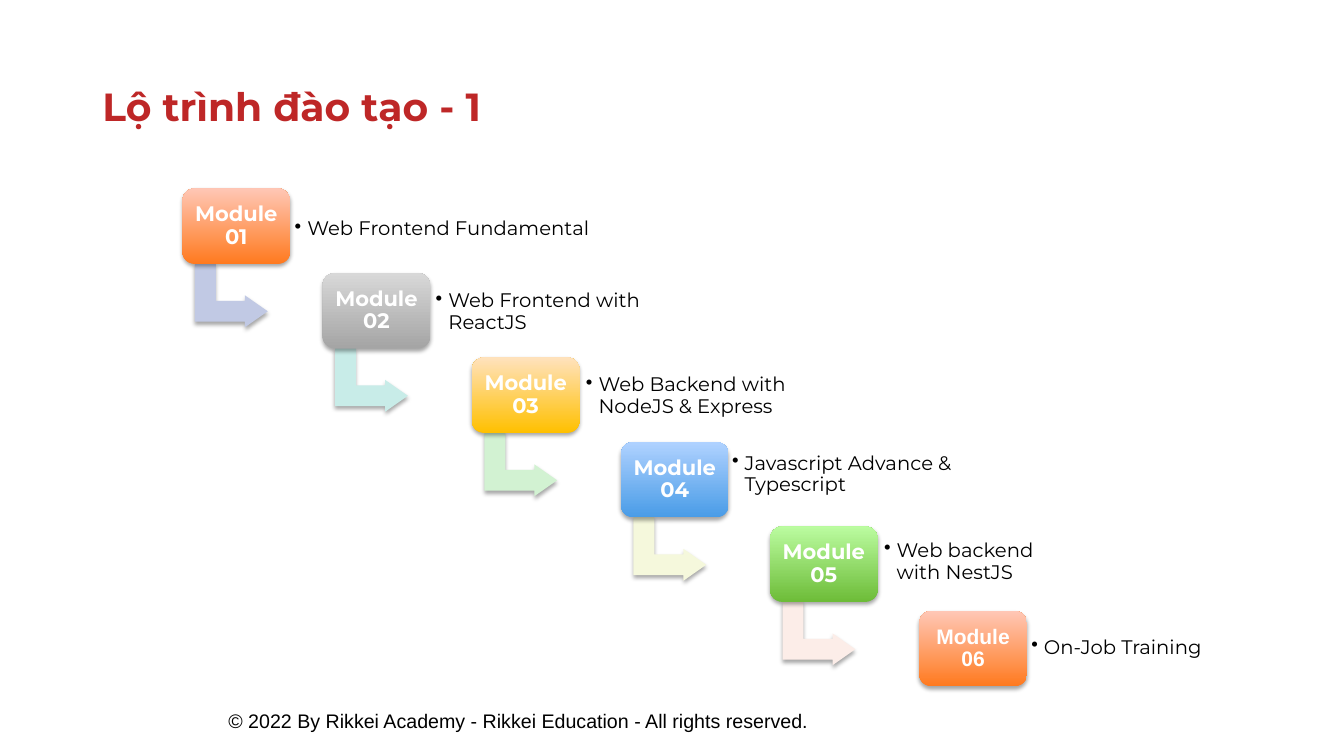
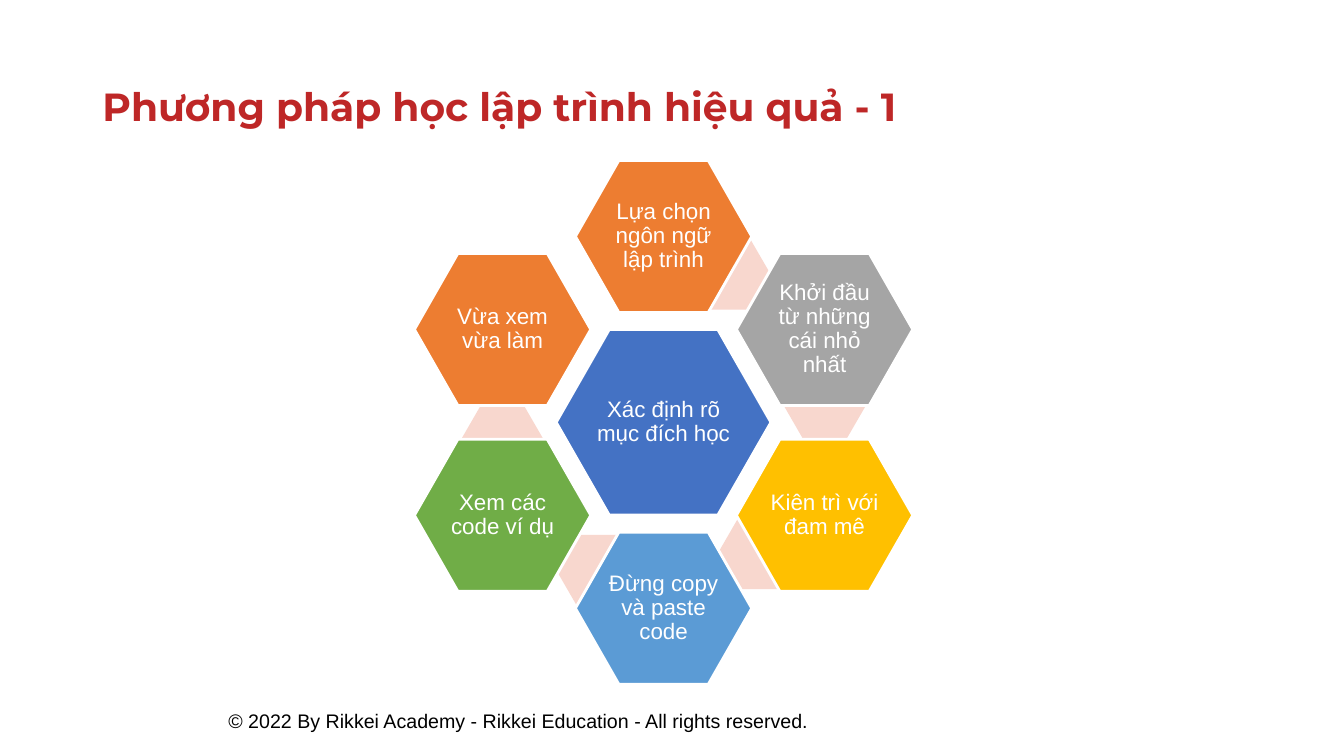
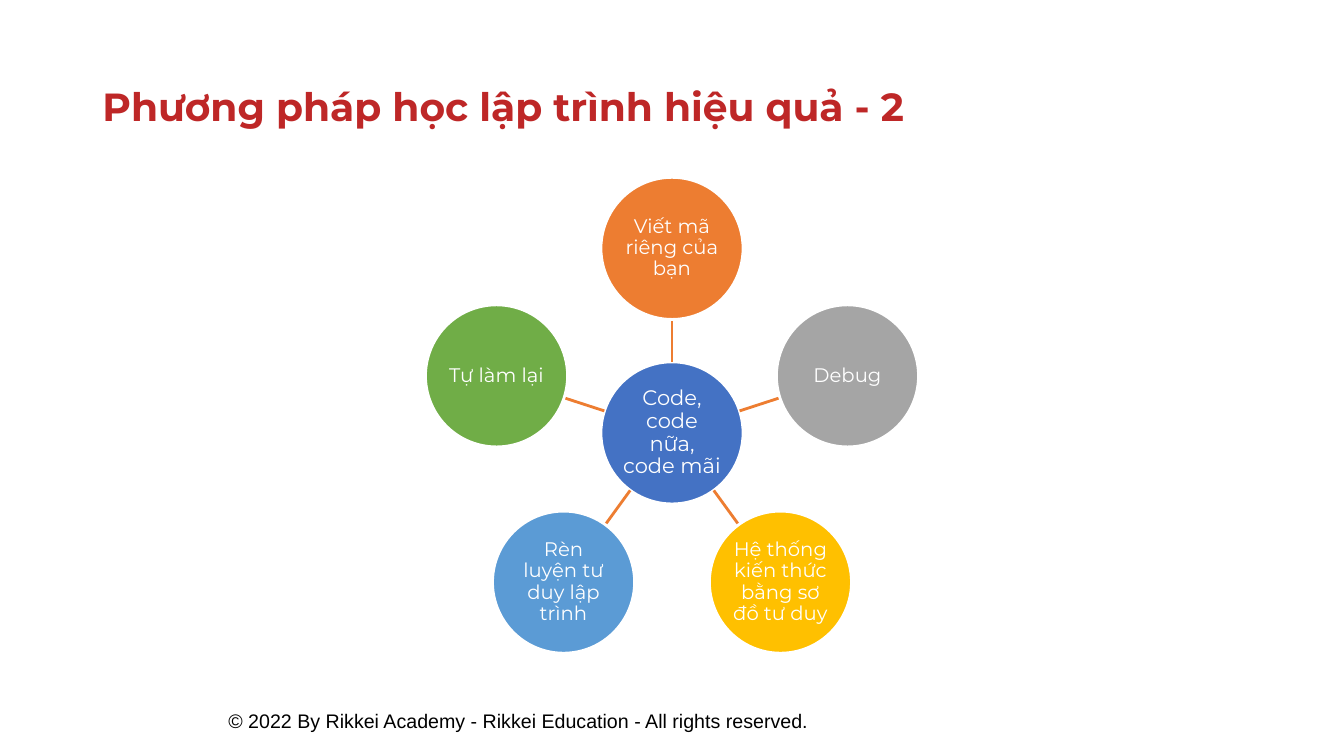
from math import cos, radians, sin

from lxml import etree
from pptx import Presentation
from pptx.dml.color import RGBColor
from pptx.enum.shapes import MSO_CONNECTOR, MSO_SHAPE
from pptx.enum.text import MSO_ANCHOR, MSO_AUTO_SIZE, PP_ALIGN
from pptx.oxml.ns import qn
from pptx.util import Pt

LEFT, CENTER = PP_ALIGN.LEFT, PP_ALIGN.CENTER
TOP, MIDDLE = MSO_ANCHOR.TOP, MSO_ANCHOR.MIDDLE
FIXED, GROW = MSO_AUTO_SIZE.NONE, MSO_AUTO_SIZE.SHAPE_TO_FIT_TEXT
ROUNDED, BENT_ARROW = MSO_SHAPE.ROUNDED_RECTANGLE, MSO_SHAPE.BENT_UP_ARROW
HEXAGON, OVAL = MSO_SHAPE.HEXAGON, MSO_SHAPE.OVAL
STRAIGHT = MSO_CONNECTOR.STRAIGHT

RED, BLACK, WHITE = "BE2727", "000000", "FFFFFF"
BLUE, ORANGE, GRAY, YELLOW = "4472C4", "ED7D31", "A5A5A5", "FFC000"
SKY, GREEN, BLUSH = "5B9BD5", "70AD47", "F8D7CE"
BRAND_FONT, PLAIN_FONT = "Montserrat", "Arial"
FOOTER = "© 2022 By Rikkei Academy - Rikkei Education - All rights reserved."


def rgb(value):
    return RGBColor.from_string(value)


def polar(center, radius, angle):
    """Point at an angle in degrees, clockwise from the top."""
    turn = radians(angle)
    return center[0] + radius * sin(turn), center[1] - radius * cos(turn)


class Slides:
    def __init__(self):
        self.deck = Presentation()
        self.deck.slide_width, self.deck.slide_height = Pt(960), Pt(540)
        self.layout = self.deck.slide_layouts[5]
        self.page = None

    def start(self, title):
        first = self.page is None
        self.page = self.deck.slides.add_slide(self.layout)
        if first:
            self.share_footer()
        box = self.page.shapes.title
        box.left, box.top, box.width, box.height = Pt(66), Pt(40.5), Pt(667), Pt(74)
        self.set_text(box, title, 28, RED, BRAND_FONT, bold=True, align=LEFT,
                      inset=(7.2, 3.6))

    def share_footer(self):
        """Place the footer on the layout, so every page shows it."""
        box = self.page.shapes.add_textbox(Pt(156), Pt(499), Pt(561), Pt(32))
        self.set_text(box, FOOTER, 14, BLACK, PLAIN_FONT, align=LEFT, inset=(7.2, 7.2),
                      anchor=TOP, spacing=1.0, fit=GROW)
        self.layout.shapes.element.append(box.element)

    def set_text(self, box, text, size, color, font, bold=False, align=CENTER,
                 inset=(4.5, 4.5), anchor=MIDDLE, spacing=0.9, fit=FIXED, bullet=False):
        frame = box.text_frame
        frame.text = text
        frame.word_wrap, frame.auto_size, frame.vertical_anchor = True, fit, anchor
        frame.margin_left = frame.margin_right = Pt(inset[0])
        frame.margin_top = frame.margin_bottom = Pt(inset[1])
        para = frame.paragraphs[0]
        if bullet:
            properties = para._p.get_or_add_pPr()
            properties.set("marL", str(Pt(9)))
            properties.set("indent", str(-Pt(9)))
            etree.SubElement(properties, qn("a:buChar"), char="•")
        para.alignment, para.line_spacing = align, spacing
        for span in para.runs:
            span.font.size, span.font.name, span.font.bold = Pt(size), font, bold
            span.font.color.rgb = rgb(color)

    def shape(self, kind, x, y, width, height, fill, outline=None, adjust=()):
        """Draw a preset shape; a pair of fills runs from bottom to top."""
        shape = self.page.shapes.add_shape(kind, Pt(x), Pt(y), Pt(width), Pt(height))
        shape.shadow.inherit = False
        if isinstance(fill, tuple):
            shape.fill.gradient()
            shape.fill.gradient_angle = 90
            for stop, color in zip(shape.fill.gradient_stops, fill):
                stop.color.rgb = rgb(color)
        else:
            shape.fill.solid()
            shape.fill.fore_color.rgb = rgb(fill)
        if outline:
            shape.line.color.rgb = rgb(outline)
            shape.line.width = Pt(2)
        else:
            shape.line.fill.background()
        for index, value in enumerate(adjust):
            shape.adjustments[index] = value
        return shape

    def centered(self, kind, center, width, height, fill, outline=None, adjust=()):
        x, y = center[0] - width / 2, center[1] - height / 2
        return self.shape(kind, x, y, width, height, fill, outline, adjust)

    def cast_shadow(self, shape):
        effects = shape.element.spPr.find(qn("a:effectLst"))
        shadow = etree.SubElement(effects, qn("a:outerShdw"), blurRad=str(Pt(3.1)),
                                  dist=str(Pt(1.8)), dir="5400000", rotWithShape="0")
        color = etree.SubElement(shadow, qn("a:srgbClr"), val=BLACK)
        etree.SubElement(color, qn("a:alpha"), val="35000")

    def bullet(self, text, x, y, width):
        box = self.page.shapes.add_textbox(Pt(x), Pt(y), Pt(width), Pt(43))
        self.set_text(box, text, 14, BLACK, BRAND_FONT, align=LEFT, bullet=True)

    def spoke(self, start, end):
        line = self.page.shapes.add_connector(STRAIGHT, *(Pt(v) for v in start + end))
        line.line.color.rgb = rgb(ORANGE)
        line.line.width = Pt(2)
        etree.SubElement(line.element.spPr, qn("a:effectLst"))

    def hexagon(self, center, width, height, text, fill):
        shape = self.centered(HEXAGON, center, width, height, fill, WHITE, (0.286,))
        self.set_text(shape, text, 16, WHITE, PLAIN_FONT, inset=(1.4, 1.4))

    def circle(self, center, text, fill, size=14):
        shape = self.centered(OVAL, center, 101.5, 101.5, fill, WHITE)
        self.set_text(shape, text, size, WHITE, BRAND_FONT, inset=(0.9, 0.9))


def roadmap(slides):
    slides.start("Lộ trình đào tạo - 1")
    flame = ("FF7A1F", "FFC7B6")
    # Tile left, tile fill, arrow fill, label, then label left, top and width
    modules = [
        (130.3, flame, "C1C9E4", "Web Frontend Fundamental", 206, 142.5, 222),
        (230.4, ("A5A5A5", "D8D8D8"), "C8ECE8", "Web Frontend with ReactJS", 306.7, 201.5, 195),
        (337, ("FFC000", "FFE2BD"), "D2F2D2", "Web Backend with NodeJS & Express", 414, 261.5, 179),
        (443.5, ("499CE7", "B0D2FF"), "F5F8DC", "Javascript Advance & Typescript", 518.4, 317.5, 179),
        (550, ("6DBC38", "BBFCA0"), "FCEDE8", "Web backend with NestJS", 627, 380, 142),
        (656.6, flame, None, "On-Job Training", 732.2, 441.5, 135),
    ]
    for index, (x, fill, arrow_fill, label, label_x, label_y, width) in enumerate(modules):
        y = 134.6 + 60.35 * index
        if arrow_fill:
            arrow = slides.shape(BENT_ARROW, x + 12.2, y + 50.4, 45.5, 52, arrow_fill,
                                 adjust=(0.328, 0.25, 0.358))
            arrow.rotation = 90
            slides.cast_shadow(arrow)
        tile = slides.shape(ROUNDED, x, y, 77, 54, fill)
        slides.cast_shadow(tile)
        font = BRAND_FONT if arrow_fill else PLAIN_FONT
        slides.set_text(tile, f"Module {index + 1:02}", 15, WHITE, font, bold=True)
        slides.bullet(label, label_x, label_y, width)


def honeycomb(slides):
    slides.start("Phương pháp học lập trình hiệu quả - 1")
    center = (474, 301.7)
    steps = [
        ("Lựa chọn ngôn ngữ lập trình", ORANGE),
        ("Khởi đầu từ những cái nhỏ nhất", GRAY),
        ("Kiên trì với đam mê", YELLOW),
        ("Đừng copy và paste code", SKY),
        ("Xem các code ví dụ", GREEN),
        ("Vừa xem vừa làm", ORANGE),
    ]
    slides.hexagon(center, 153.4, 132.5, "Xác định rõ mục đích học", BLUE)
    # Bridges lie under the gaps between neighbouring steps
    for index in range(len(steps) - 1):
        slides.centered(HEXAGON, polar(center, 115.7, 24.5 + 60 * index), 57.6, 49.7,
                        BLUSH, adjust=(0.289,))
    for index, (text, fill) in enumerate(steps):
        slides.hexagon(polar(center, 132.8, 60 * index), 126, 108.7, text, fill)


def wheel(slides):
    slides.start("Phương pháp học lập trình hiệu quả - 2")
    center = (480, 309.2)
    habits = [
        ("Viết mã riêng của bạn", ORANGE),
        ("Debug", GRAY),
        ("Hệ thống kiến thức bằng sơ đồ tư duy", YELLOW),
        ("Rèn luyện tư duy lập trình", SKY),
        ("Tự làm lại", GREEN),
    ]
    slides.circle(center, "Code, code nữa, code mãi", BLUE, 15)
    for index, (text, fill) in enumerate(habits):
        angle = 360 / len(habits) * index
        slides.spoke(polar(center, 50.8, angle), polar(center, 81.2, angle))
        slides.circle(polar(center, 131.8, angle), text, fill)


def main():
    slides = Slides()
    roadmap(slides)
    honeycomb(slides)
    wheel(slides)
    slides.deck.save("out.pptx")


if __name__ == "__main__":
    main()
